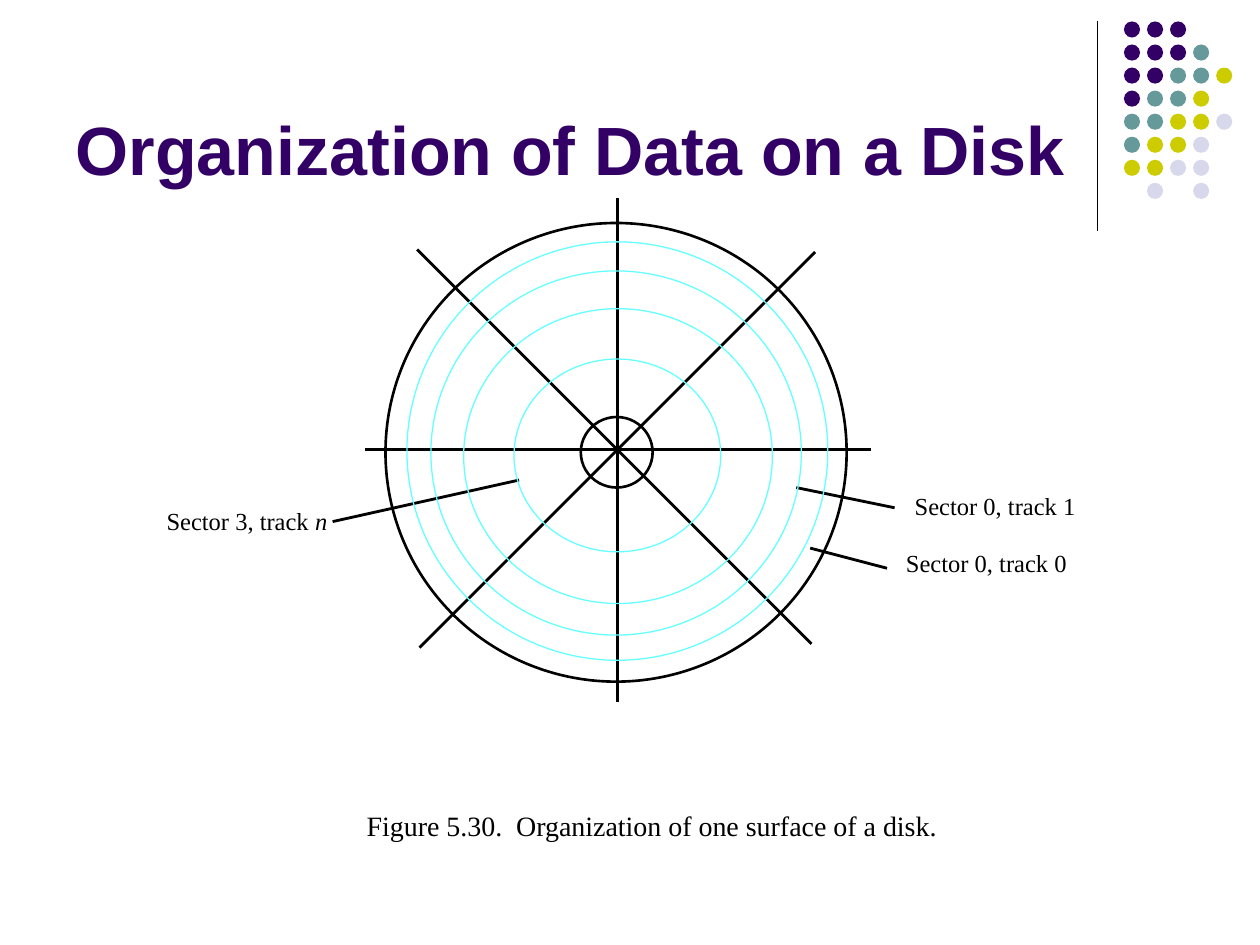
from collections import namedtuple

from lxml.etree import SubElement
from pptx import Presentation
from pptx.dml.color import RGBColor
from pptx.enum.shapes import MSO_CONNECTOR, MSO_SHAPE
from pptx.enum.text import MSO_ANCHOR, MSO_AUTO_SIZE, PP_ALIGN
from pptx.oxml.ns import qn
from pptx.util import Inches, Pt

INK, PLUM, TEAL, LIME, MIST, AQUA = (
    "000000", "330066", "669999", "CCCC00", "D8D8EC", "66FFFF")
SERIF = "Times New Roman"
DOTS = ("PPP", "PPPT", "PPTTL", "PTTL", "TTLLM", "TLLM", "LLMM", " M M")
TINTS = {"P": PLUM, "T": TEAL, "L": LIME, "M": MIST}
RINGS = (
    (1.6, 2, 36.6, 36.4, INK, 1.5),
    (3.3, 3.5, 33.4, 33.2, AQUA, 0.75),
    (5.2, 5.8, 29.4, 28.9, AQUA, 0.75),
    (7.8, 8.8, 24.5, 23.4, AQUA, 0.75),
    (11.8, 12.8, 16.4, 15.3, AQUA, 0.75),
    (17.1, 17.4, 5.7, 5.6, INK, 1.5),
)
SPOKES = (
    (20, 40, 20, 0),
    (40.1, 20, 0, 20),
    (4.3, 35.7, 35.7, 4.3),
    (4.1, 4.1, 35.4, 35.4),
)
LEADS = (
    (-2.6, 25.7, 12.2, 22.4),
    (41.4, 29.4, 35.3, 27.8),
    (42, 24.6, 34.2, 23),
)


class Grid(namedtuple("Grid", "left top cell")):
    """A grid of square cells, placed in inches."""

    def at(self, x, y):
        """Return the slide position of a grid point."""
        return (Inches(self.left + x * self.cell),
                Inches(self.top + y * self.cell))

    def box(self, x, y, w, h):
        """Return the slide position and size of a grid box."""
        return (*self.at(x, y), Inches(w * self.cell), Inches(h * self.cell))


def tint(code):
    """Turn a hex string into a colour."""
    return RGBColor.from_string(code)


def style(font, name, size, code):
    """Set the face, size and colour of a font."""
    font.name, font.size = name, Pt(size)
    font.color.rgb = tint(code)


def rule(slide, grid, ends, width):
    """Draw a straight black line between two grid points."""
    line = slide.shapes.add_connector(
        MSO_CONNECTOR.STRAIGHT, *grid.at(*ends[:2]), *grid.at(*ends[2:]))
    line.line.color.rgb = tint(INK)
    line.line.width = Pt(width)
    SubElement(line._element.spPr, qn("a:effectLst"))


def oval(slide, grid, box):
    """Add an ellipse without a shadow."""
    shape = slide.shapes.add_shape(MSO_SHAPE.OVAL, *grid.box(*box))
    shape.shadow.inherit = False
    return shape


def label(slide, grid, box, text, size=14, tail="", align=PP_ALIGN.LEFT):
    """Add a serif label with an optional italic tail."""
    frame = slide.shapes.add_textbox(*grid.box(*box)).text_frame
    frame.margin_left = frame.margin_right = 0
    frame.margin_top = frame.margin_bottom = 0
    frame.word_wrap = False
    para = frame.paragraphs[0]
    para.alignment = align
    para.add_run().text = text
    if tail:
        run = para.add_run()
        run.text = tail
        run.font.italic = True
    style(para.font, SERIF, size, INK)


def head(slide, grid):
    """Place and format the title."""
    title = slide.shapes.title
    title.left, title.top, title.width, title.height = grid.box(
        0, 0, 82.5, 14.2)
    frame = title.text_frame
    frame.text = "Organization of Data on a Disk"
    frame.vertical_anchor = MSO_ANCHOR.BOTTOM
    frame.auto_size = MSO_AUTO_SIZE.NONE
    para = frame.paragraphs[0]
    para.alignment = PP_ALIGN.LEFT
    style(para.font, "Arial", 39, PLUM)
    para.font.bold = True


def decor(slide, grid):
    """Draw the corner rule and its pattern of dots."""
    rule(slide, grid, (-1.15, 0, -1.15, 9.07), 0.75)
    for row, marks in enumerate(DOTS):
        for col, mark in enumerate(marks):
            if mark in TINTS:
                dot = oval(slide, grid, (col, row, 0.7, 0.7))
                dot.fill.solid()
                dot.fill.fore_color.rgb = tint(TINTS[mark])
                dot.line.fill.background()


def disk(slide, grid):
    """Draw the disk with its sectors, tracks, labels and caption."""
    label(slide, grid, (42.9, 27.8, 12.8, 2.3), "Sector 0, track 0")
    label(slide, grid, (43.6, 23.3, 12.8, 2.3), "Sector 0, track 1")
    label(slide, grid, (-16, 24.5, 13, 2.3), "Sector 3, track ",
          tail="n", align=PP_ALIGN.RIGHT)
    label(slide, grid, (0.1, 48.5, 45.3, 2.7),
          "Figure 5.30.  Organization of one surface of a disk.", 16)
    for ends in SPOKES + LEADS:
        rule(slide, grid, ends, 1.62)
    for *box, code, width in RINGS:
        ring = oval(slide, grid, box)
        ring.fill.background()
        ring.line.color.rgb = tint(code)
        ring.line.width = Pt(width)


def main():
    """Build and save the slide."""
    deck = Presentation()
    deck.slide_width, deck.slide_height = Inches(10), Inches(7.5)
    slide = deck.slides.add_slide(deck.slide_layouts[5])
    decor(slide, Grid(8.92, 0.17, 0.183))
    head(slide, Grid(0.5, 0.13, 0.1))
    disk(slide, Grid(2.9, 1.57, 0.1))
    deck.save("out.pptx")


if __name__ == "__main__":
    main()
